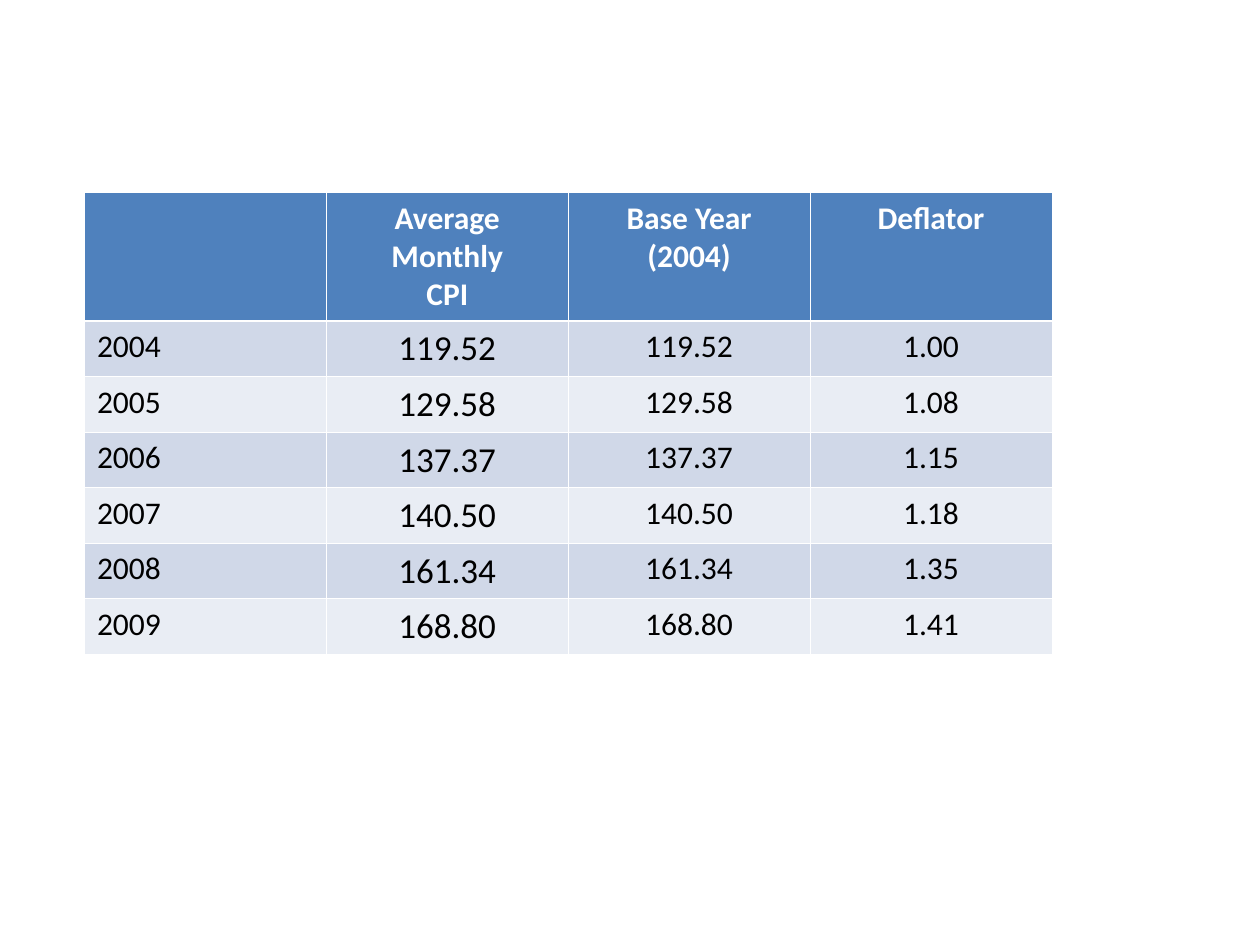
import pptx
import pptx.dml.color
import pptx.enum.text
import pptx.oxml
import pptx.oxml.ns
import pptx.util
from pptx.util import Inches, Pt

# Content: each header is a list of paragraphs
HEADERS = [[], ["Average Monthly", "CPI"], ["Base Year", "(2004)"], ["Deflator"]]
ROWS = [
    ("2004", "119.52", "119.52", "1.00"),
    ("2005", "129.58", "129.58", "1.08"),
    ("2006", "137.37", "137.37", "1.15"),
    ("2007", "140.50", "140.50", "1.18"),
    ("2008", "161.34", "161.34", "1.35"),
    ("2009", "168.80", "168.80", "1.41"),
]

COLORS = {
    "header": "4F81BD",
    "odd_row": "D0D8E8",
    "even_row": "E9EDF4",
    "white": "FFFFFF",
    "text": "000000",
}
FONT = "Calibri"
LEFT, TOP = 0.67, 1.53
COLUMN_WIDTH, HEADER_HEIGHT, ROW_HEIGHT = 1.92, 1.02, 0.41
THIN, THICK = 0.45, 1.47
YEAR_COLUMN, CPI_COLUMN = 0, 1


def rgb(name):
    return pptx.dml.color.RGBColor.from_string(COLORS[name])


def add_borders(cell, top, bottom):
    properties = cell._tc.get_or_add_tcPr()
    for tag, width in (("lnL", THIN), ("lnR", THIN), ("lnT", top), ("lnB", bottom)):
        properties.append(pptx.oxml.parse_xml(
            f'<a:{tag} {pptx.oxml.ns.nsdecls("a")} w="{int(Pt(width))}">'
            f'<a:solidFill><a:srgbClr val="{COLORS["white"]}"/></a:solidFill>'
            f'</a:{tag}>'))


def fill_cell(cell, lines, row, column):
    is_header = row == 0
    is_cpi = column == CPI_COLUMN and not is_header

    # Borders and band colour; the rule below the header is thicker
    add_borders(cell, THICK if row == 1 else THIN, THICK if is_header else THIN)
    cell.fill.solid()
    band = "header" if is_header else "odd_row" if row % 2 else "even_row"
    cell.fill.fore_color.rgb = rgb(band)

    # Margins and anchor
    cell.margin_left = cell.margin_right = Inches(0.01 if is_cpi else 0.1)
    cell.margin_top = cell.margin_bottom = Inches(0.05)
    anchors = pptx.enum.text.MSO_ANCHOR
    cell.vertical_anchor = anchors.BOTTOM if is_cpi else anchors.TOP

    # Text
    alignments = pptx.enum.text.PP_ALIGN
    for index, line in enumerate(lines):
        frame = cell.text_frame
        paragraph = frame.add_paragraph() if index else frame.paragraphs[0]
        is_year = column == YEAR_COLUMN
        paragraph.alignment = alignments.LEFT if is_year else alignments.CENTER
        run = paragraph.add_run()
        run.text = line
        run.font.name = FONT
        run.font.size = Pt(20 if is_cpi else 18)
        run.font.bold = is_header
        run.font.color.rgb = rgb("white" if is_header else "text")


def main():
    presentation = pptx.Presentation()
    presentation.slide_width, presentation.slide_height = Inches(10), Inches(7.5)
    slide = presentation.slides.add_slide(presentation.slide_layouts[6])

    # Deflator table
    grid = [HEADERS] + [[[value] for value in values] for values in ROWS]
    heights = [HEADER_HEIGHT] + [ROW_HEIGHT] * len(ROWS)
    table = slide.shapes.add_table(
        len(grid), len(HEADERS), Inches(LEFT), Inches(TOP),
        Inches(COLUMN_WIDTH * len(HEADERS)), Inches(sum(heights))).table
    for table_column in table.columns:
        table_column.width = Inches(COLUMN_WIDTH)
    for row, (cells, height) in enumerate(zip(grid, heights)):
        table.rows[row].height = Inches(height)
        for column, lines in enumerate(cells):
            fill_cell(table.cell(row, column), lines, row, column)

    presentation.save("out.pptx")


if __name__ == "__main__":
    main()
